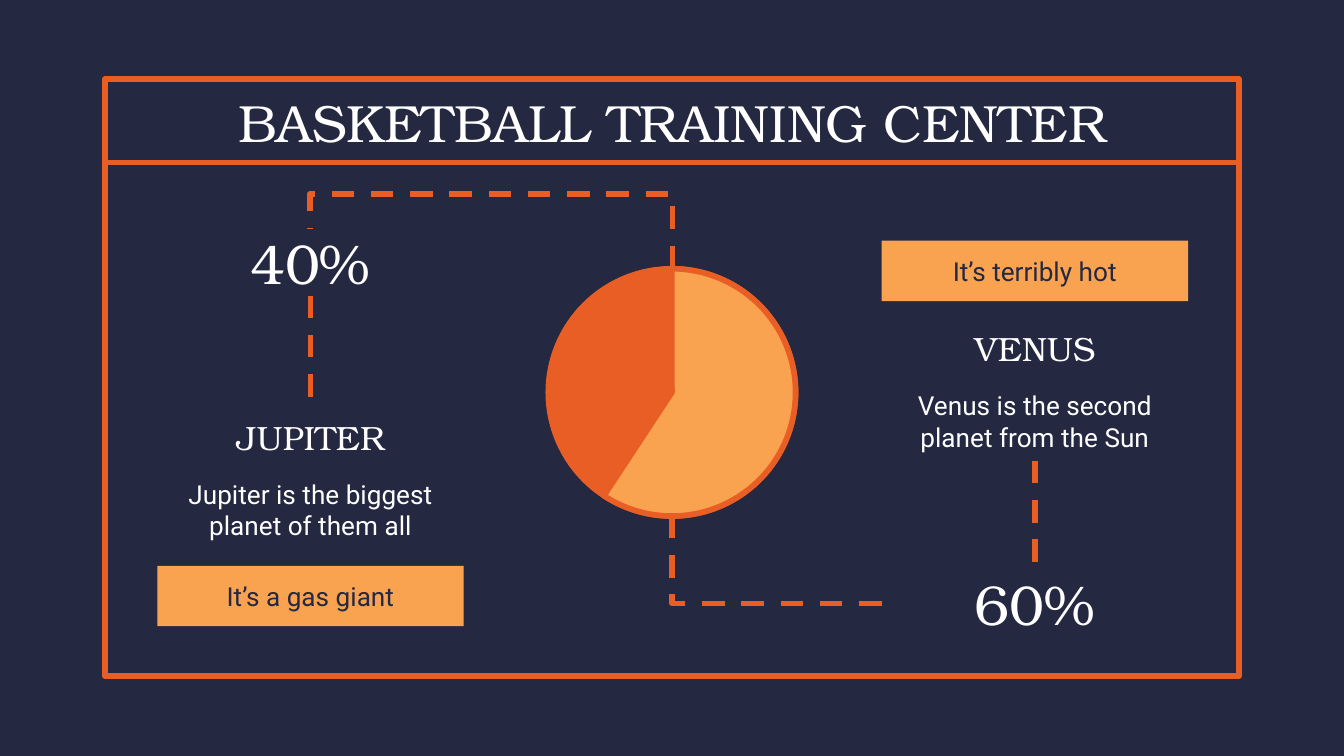
from dataclasses import dataclass

from lxml import etree
from pptx import Presentation
from pptx.dml.color import RGBColor
from pptx.enum import dml, shapes, text
from pptx.oxml import ns
from pptx.util import Inches, Pt


@dataclass(frozen=True)
class Theme:
    navy: RGBColor = RGBColor.from_string("242841")
    orange: RGBColor = RGBColor.from_string("E95E24")
    amber: RGBColor = RGBColor.from_string("F9A350")
    white: RGBColor = RGBColor.from_string("FFFFFF")
    serif: str = "TeX Gyre Bonum"
    sans: str = "Roboto"
    title: int = 28
    percent: int = 30
    planet: int = 18
    body: int = 14
    stroke: int = 3


THEME = Theme()
TOP, MIDDLE, BOTTOM = (text.MSO_ANCHOR.TOP, text.MSO_ANCHOR.MIDDLE,
                       text.MSO_ANCHOR.BOTTOM)
COLUMN_W = 2.28
HEADING = {"name": THEME.serif, "size": Pt(THEME.planet)}
PERCENT = {"name": THEME.serif, "size": Pt(THEME.percent)}
TITLE = {"name": THEME.serif, "size": Pt(THEME.title)}
BODY = {"name": THEME.sans, "size": Pt(THEME.body)}


def set_all(target, values):
    for name, value in values.items():
        setattr(target, name, value)


def write(holder, words, font, color, anchor, after=0):
    frame = holder.text_frame
    margins = {f"margin_{side}": Inches(0.1)
               for side in ("left", "right", "top", "bottom")}
    set_all(frame, {"word_wrap": True, "vertical_anchor": anchor, **margins})
    paragraph = frame.paragraphs[0]
    set_all(paragraph, {"alignment": text.PP_ALIGN.CENTER,
                        "space_after": Pt(after)})
    run = paragraph.add_run()
    run.text = words
    set_all(run.font, font)
    run.font.color.rgb = color


def add_label(slide, box, words, font, anchor=MIDDLE, after=0):
    label = slide.shapes.add_textbox(*map(Inches, box))
    write(label, words, font, THEME.white, anchor, after)
    return label


def style_line(line, dashed=False):
    line.color.rgb = THEME.orange
    line.width = Pt(THEME.stroke)
    if dashed:
        line.dash_style = dml.MSO_LINE.DASH


def add_figure(slide, kind, box, fill=None, outlined=True):
    figure = slide.shapes.add_shape(kind, *map(Inches, box))
    figure.shadow.inherit = False
    if fill is None:
        figure.fill.background()
    else:
        figure.fill.solid()
        figure.fill.fore_color.rgb = fill
    if outlined:
        style_line(figure.line)
    else:
        figure.line.fill.background()
    return figure


def add_line(slide, start, end, dashed=True, kind=shapes.MSO_CONNECTOR.STRAIGHT):
    line = slide.shapes.add_connector(kind, *map(Inches, start + end))
    style_line(line.line, dashed)
    etree.SubElement(line.element.spPr, ns.qn("a:effectLst"))
    return line


def add_elbow(slide, box, turn, preset, flip=False, bend=None):
    """Box is the connector's frame before it is turned by `turn` degrees."""
    left, top, width, height = box
    elbow = add_line(slide, (left, top), (left + width, top + height),
                     kind=shapes.MSO_CONNECTOR.ELBOW)
    xfrm = elbow.element.spPr.find(ns.qn("a:xfrm"))
    xfrm.set("rot", str(turn * 60000))
    if flip:
        xfrm.set("flipH", "1")
    geometry = elbow.element.spPr.find(ns.qn("a:prstGeom"))
    geometry.set("prst", preset)
    if bend is not None:
        guides = geometry.find(ns.qn("a:avLst"))
        etree.SubElement(guides, ns.qn("a:gd"), name="adj1",
                         fmla=f"val {round(bend * 100000)}")


def add_planet(slide, left, top, name, fact):
    heading = add_label(slide, (left, top, COLUMN_W, 0.5), name, HEADING,
                        BOTTOM, after=12)
    detail = add_label(slide, (left, top + 0.46, COLUMN_W, 0.63), fact, BODY, TOP)
    return heading, detail


def add_percent(slide, left, top, words):
    return add_label(slide, (left, top, COLUMN_W, 0.5), words, PERCENT, after=12)


def add_tag(slide, left, top, words):
    tag = add_figure(slide, shapes.MSO_SHAPE.RECTANGLE,
                     (left, top, COLUMN_W, 0.45), THEME.amber, outlined=False)
    write(tag, words, BODY, THEME.navy, MIDDLE)


def add_link(slide, upper, lower):
    link = add_line(slide, (0, 0), (0, 0))
    link.begin_connect(upper, 2)
    link.end_connect(lower, 0)


def main():
    deck = Presentation()
    # Widescreen, 16 to 9
    set_all(deck, {"slide_width": Inches(10), "slide_height": Inches(10 * 9 / 16)})
    slide = deck.slides.add_slide(deck.slide_layouts[6])
    slide.background.fill.solid()
    slide.background.fill.fore_color.rgb = THEME.navy

    # Frame and title
    add_figure(slide, shapes.MSO_SHAPE.RECTANGLE, (0.78, 0.59, 8.44, 4.44))
    add_line(slide, (0.8, 1.21), (9.2, 1.21), dashed=False)
    add_label(slide, (0.78, 0.59, 8.44, 0.63), "BASKETBALL TRAINING CENTER", TITLE)

    # Disc with the 60% slice, clockwise from the top
    disc = (4.08, 2, 1.84, 1.84)
    add_figure(slide, shapes.MSO_SHAPE.OVAL, disc, THEME.orange)
    venus_slice = add_figure(slide, shapes.MSO_SHAPE.PIE, disc, THEME.amber)
    venus_slice.adjustments[0] = 162
    venus_slice.adjustments[1] = 74

    # Planet columns
    jupiter_x, venus_x = 1.17, 6.56
    jupiter, _ = add_planet(slide, jupiter_x, 3, "JUPITER",
                            "Jupiter is the biggest planet of them all")
    jupiter_share = add_percent(slide, jupiter_x, 1.7, "40%")
    _, venus_fact = add_planet(slide, venus_x, 2.34, "VENUS",
                               "Venus is the second planet from the Sun")
    venus_share = add_percent(slide, venus_x, 4.24, "60%")
    add_tag(slide, jupiter_x, 4.21, "It’s a gas giant")
    add_tag(slide, venus_x, 1.79, "It’s terribly hot")

    # Dashed links from disc to shares, and from shares to planets
    add_elbow(slide, (3.51, 0.5, 0.29, 2.7), 90, "bentConnector3",
              flip=True, bend=1.9)
    add_elbow(slide, (5, 3.84, 1.56, 0.65), 180, "bentConnector2")
    add_link(slide, jupiter_share, jupiter)
    add_link(slide, venus_fact, venus_share)

    deck.save("out.pptx")


if __name__ == "__main__":
    main()
